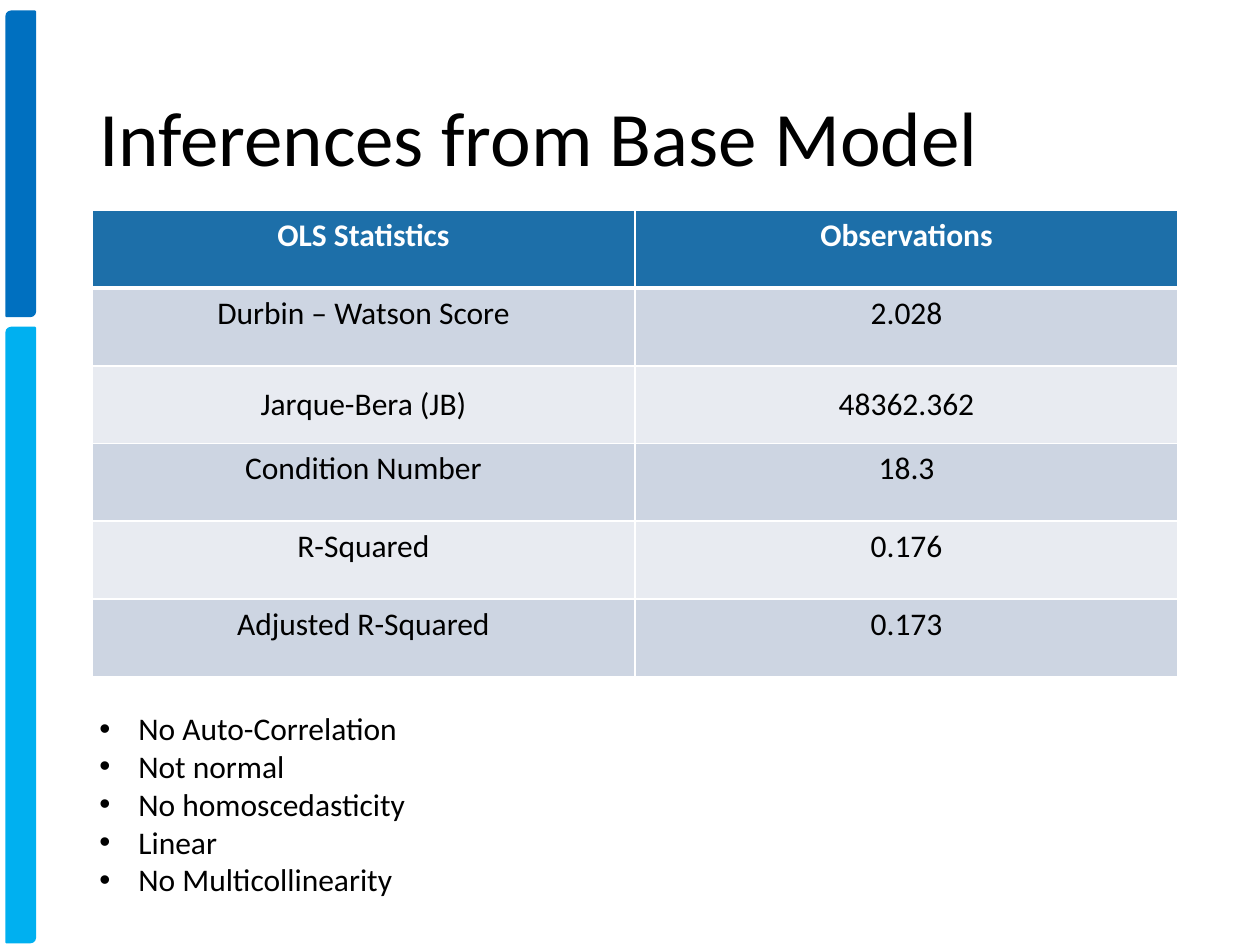
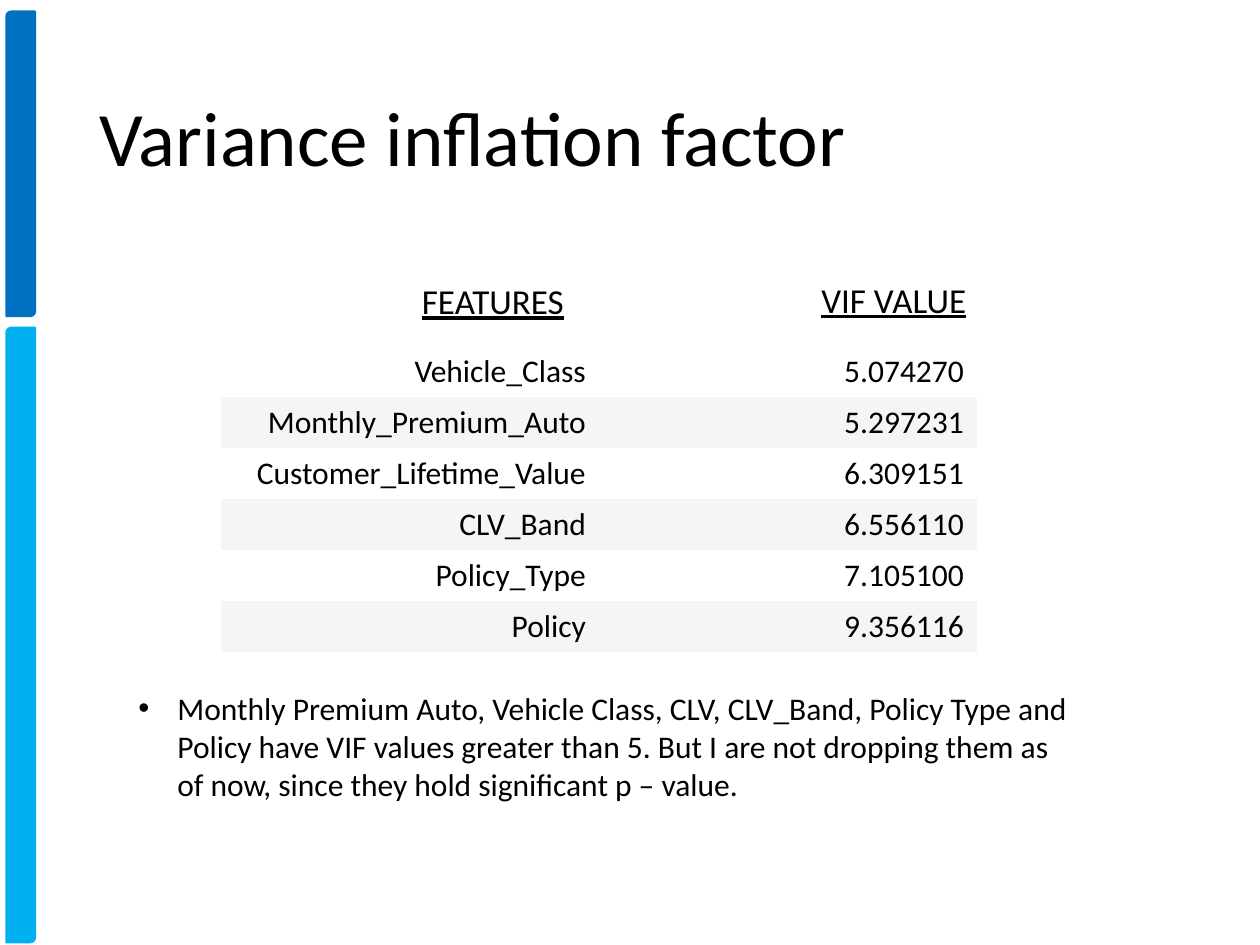
from lxml import etree
from pptx import Presentation
from pptx.dml.color import RGBColor
from pptx.enum.shapes import MSO_SHAPE
from pptx.enum.text import MSO_ANCHOR, PP_ALIGN
from pptx.oxml.ns import qn
from pptx.util import Inches, Pt

BAR = MSO_SHAPE.ROUND_2_DIAG_RECTANGLE
TOP, MIDDLE = MSO_ANCHOR.TOP, MSO_ANCHOR.MIDDLE
CENTER, RIGHT = PP_ALIGN.CENTER, PP_ALIGN.RIGHT
FONT = "Calibri"
BLACK, WHITE = "000000", "FFFFFF"
HEADER, BAND_DARK, BAND_LIGHT, STRIPE = "1D6FA9", "CDD5E2", "E8EBF1", "F5F5F5"
NO_STYLE = "{2D5ABB26-0587-4C30-8999-92F81FD0307C}"
BARS = [(0.09, 2.42, "0070C0"), (2.6, 4.88, "00B0F0")]
rgb = RGBColor.from_string


def add_text(s, box, lines, size=18, bullet=False):
    tf = s.shapes.add_textbox(*map(Inches, box)).text_frame
    tf.word_wrap = True
    for i, line in enumerate(lines):
        p = tf.add_paragraph() if i else tf.paragraphs[0]
        p.text = line
        p.font.name, p.font.size = FONT, Pt(size)
        p.font.color.rgb = rgb(BLACK)
        if bullet:
            pPr = p._p.get_or_add_pPr()
            pPr.set("marL", str(Inches(0.31)))
            pPr.set("indent", str(-Inches(0.31)))
            bu_font = etree.Element(qn("a:buFont"), typeface="Arial")
            bu_char = etree.Element(qn("a:buChar"), char="•")
            pPr.insert(0, bu_font)
            bu_font.addnext(bu_char)
    return tf


def add_table(s, box, rows, align):
    frame = s.shapes.add_table(len(rows), len(rows[0]), *map(Inches, box))
    table = frame.table
    frame._element.find(".//" + qn("a:tableStyleId")).text = NO_STYLE
    for r, row in enumerate(rows):
        for c, value in enumerate(row):
            cell = table.cell(r, c)
            cell.text = value
            p = cell.text_frame.paragraphs[0]
            p.alignment = align
            p.font.name, p.font.size = FONT, Pt(18)
            p.font.color.rgb = rgb(BLACK)
    return table


prs = Presentation()
prs.slide_width, prs.slide_height = Inches(10), Inches(7.5)

slides = []
for title in ["Inferences from Base Model", "Variance inflation factor"]:
    s = prs.slides.add_slide(prs.slide_layouts[6])
    for top, height, color in BARS:
        sp = s.shapes.add_shape(BAR, Inches(0.05), Inches(top), Inches(0.23), Inches(height))
        sp.shadow.inherit = False
        sp.fill.solid()
        sp.fill.fore_color.rgb = rgb(color)
        sp.line.color.rgb = rgb(color)
        sp.line.width = Pt(1)
    tf = add_text(s, (0.69, 0.4, 8.62, 1.45), [title], 44)
    tf.vertical_anchor = MIDDLE
    tf.paragraphs[0].line_spacing = 0.9
    slides.append(s)
inferences, vif = slides

statistics = [
    ("OLS Statistics", "Observations"),
    ("Durbin – Watson Score", "2.028"),
    ("Jarque-Bera (JB)", "48362.362"),
    ("Condition Number", "18.3"),
    ("R-Squared", "0.176"),
    ("Adjusted R-Squared", "0.173"),
]
table = add_table(inferences, (0.73, 1.67, 8.62, 3.7), statistics, CENTER)
for r, row in enumerate(table.rows):
    for cell in row.cells:
        tcPr = cell._tc.get_or_add_tcPr()
        for side in ("lnL", "lnR", "lnT", "lnB"):
            thick = (r, side) in [(0, "lnB"), (1, "lnT")]
            ln = etree.SubElement(tcPr, qn("a:" + side), w=str(Pt(3 if thick else 1)))
            fill = etree.SubElement(ln, qn("a:solidFill"))
            etree.SubElement(fill, qn("a:srgbClr"), val=WHITE)
        cell.fill.solid()
        cell.fill.fore_color.rgb = rgb(HEADER if r == 0 else BAND_DARK if r % 2 else BAND_LIGHT)
        cell.vertical_anchor = MIDDLE if r == 2 else TOP
        if r == 0:
            font = cell.text_frame.paragraphs[0].font
            font.bold = True
            font.color.rgb = rgb(WHITE)

findings = ["No Auto-Correlation", "Not normal", "No homoscedasticity", "Linear", "No Multicollinearity"]
add_text(inferences, (0.69, 5.58, 8.4, 1.62), findings, bullet=True)

features = [
    ("Vehicle_Class", "5.074270"),
    ("Monthly_Premium_Auto", "5.297231"),
    ("Customer_Lifetime_Value", "6.309151"),
    ("CLV_Band", "6.556110"),
    ("Policy_Type", "7.105100"),
    ("Policy", "9.356116"),
]
table = add_table(vif, (1.75, 2.75, 6, 2.43), features, RIGHT)
for r, row in enumerate(table.rows):
    for cell in row.cells:
        cell.vertical_anchor = MIDDLE
        if r % 2:
            cell.fill.solid()
            cell.fill.fore_color.rgb = rgb(STRIPE)
        else:
            cell.fill.background()

conclusion = (
    "Monthly Premium Auto, Vehicle Class, CLV, CLV_Band, Policy Type and Policy have VIF values "
    "greater than 5. But I are not dropping them as of now, since they hold significant p – value."
)
add_text(vif, (1, 5.42, 7.67, 1.31), [conclusion], bullet=True)

for box, heading in [((3.25, 2.17, 1.75, 0.44), "FEATURES"), ((6.42, 2.16, 1.58, 0.44), "VIF VALUE")]:
    tf = add_text(vif, box, [heading], 20)
    tf.paragraphs[0].font.underline = True

prs.save("out.pptx")
